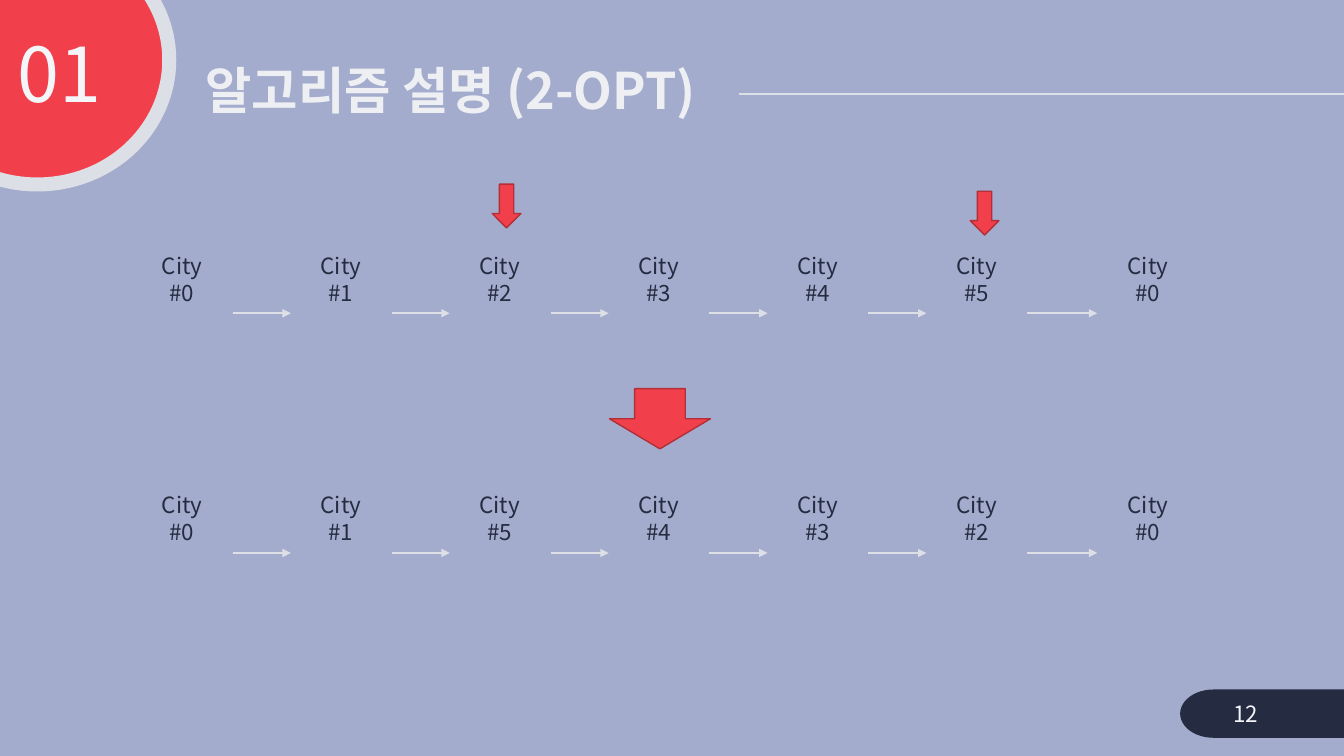
import pptx
import pptx.dml.color
import pptx.enum.shapes
import pptx.enum.text
import pptx.oxml
import pptx.oxml.ns
import pptx.util

Pt = pptx.util.Pt
RGBColor = pptx.dml.color.RGBColor
Shape = pptx.enum.shapes.MSO_SHAPE
Anchor = pptx.enum.text.MSO_ANCHOR
Align = pptx.enum.text.PP_ALIGN

BACKGROUND = RGBColor(0xA4, 0xAC, 0xCD)
RED = RGBColor(0xF1, 0x40, 0x4B)
DARK_RED = RGBColor(0xB2, 0x2F, 0x37)
GREY = RGBColor(0xDD, 0xDF, 0xE6)
NAVY = RGBColor(0x25, 0x2C, 0x41)
TITLE_WHITE = RGBColor(0xEE, 0xEF, 0xF3)
WHITE = RGBColor(0xF4, 0xF5, 0xF9)

CITY_LEFT, CITY_STEP, CITY_WIDTH = 103, 113.5, 54
LAST_CITY_LEFT = 793
TOURS = [
    (174.25, [0, 1, 2, 3, 4, 5, 0]),
    (345.5, [0, 1, 5, 4, 3, 2, 0]),
]


class SlideBuilder:
    font_name = "Noto Sans CJK KR"

    def __init__(self, slide):
        self.slide = slide
        slide.background.fill.solid()
        slide.background.fill.fore_color.rgb = BACKGROUND

    def shape(self, kind, left, top, width, height, fill, line=None, line_width=1):
        shape = self.slide.shapes.add_shape(
            kind, Pt(left), Pt(top), Pt(width), Pt(height))
        shape.shadow.inherit = False
        shape.fill.solid()
        shape.fill.fore_color.rgb = fill
        if line is None:
            shape.line.fill.background()
        else:
            shape.line.color.rgb = line
            shape.line.width = Pt(line_width)

    def text(self, text, left, top, width, height, size, color, bold=False,
             align=Align.LEFT, anchor=Anchor.TOP, spacing=None, inset_top=3.6):
        box = self.slide.shapes.add_textbox(Pt(left), Pt(top), Pt(width), Pt(height))
        frame = box.text_frame
        frame.word_wrap = True
        frame.vertical_anchor = anchor
        frame.margin_top = Pt(inset_top)
        paragraph = frame.paragraphs[0]
        paragraph.text = text
        paragraph.alignment = align
        if spacing is not None:
            paragraph.line_spacing = spacing
        paragraph.font.name = self.font_name
        paragraph.font.size = Pt(size)
        paragraph.font.bold = bold
        paragraph.font.color.rgb = color
        properties = paragraph.runs[0].font
        properties.name = self.font_name
        east_asian = pptx.oxml.parse_xml(
            f'<a:ea {pptx.oxml.ns.nsdecls("a")} typeface="{self.font_name}"/>')
        paragraph.runs[0]._r.get_or_add_rPr().append(east_asian)

    def horizontal_line(self, left, right, y, arrow=False):
        line = self.slide.shapes.add_connector(
            pptx.enum.shapes.MSO_CONNECTOR.STRAIGHT,
            Pt(left), Pt(y), Pt(right), Pt(y))
        line.line.color.rgb = GREY
        line.line.width = Pt(1.5)
        namespace = pptx.oxml.ns.nsdecls("a")
        if arrow:
            line.line._get_or_add_ln().append(
                pptx.oxml.parse_xml(f'<a:tailEnd {namespace} type="triangle"/>'))
        line._element.spPr.append(
            pptx.oxml.parse_xml(f"<a:effectLst {namespace}/>"))

    def down_arrow(self, left, top, width, height):
        self.shape(Shape.DOWN_ARROW, left, top, width, height, RED, DARK_RED)

    def tour(self, top, cities):
        """Draw one row of cities with an arrow from each to the next."""
        last = len(cities) - 1
        for index, city in enumerate(cities):
            left = LAST_CITY_LEFT if index == last else CITY_LEFT + index * CITY_STEP
            self.text(f"City #{city}", left, top, CITY_WIDTH, 26.5, 16, NAVY,
                      align=Align.CENTER, spacing=Pt(19.3), inset_top=5.5)
            if index < last:
                start = left + 63.25
                length = 50 if index == last - 1 else 41.5
                self.horizontal_line(start, start + length, top + 49.5, arrow=True)


def main():
    presentation = pptx.Presentation()
    presentation.slide_width = Pt(960)
    presentation.slide_height = Pt(540)
    builder = SlideBuilder(
        presentation.slides.add_slide(presentation.slide_layouts[6]))

    builder.horizontal_line(528, 960, 67)
    builder.shape(Shape.OVAL, -67.7, -46, 188.6, 177.8, RED, GREY, 10)
    builder.shape(Shape.FLOWCHART_TERMINATOR, 843, 492.5, 147.6, 34.5, NAVY)
    builder.text("알고리즘 설명 (2-OPT)", 139.7, 42.5, 388, 48.2, 36, TITLE_WHITE,
                 bold=True, anchor=Anchor.MIDDLE, spacing=0.9)
    builder.text("01", -8, 23, 87.8, 66.2, 54, WHITE,
                 align=Align.RIGHT, spacing=0.9)
    builder.text("12", 874, 495.4, 78.5, 28.8, 16, WHITE, anchor=Anchor.MIDDLE)

    for top, cities in TOURS:
        builder.tour(top, cities)
    builder.down_arrow(351.6, 131.5, 20.5, 31.3)
    builder.down_arrow(693, 136.6, 20.5, 31.3)
    builder.down_arrow(435.3, 277.6, 72.2, 43)

    presentation.save("out.pptx")


if __name__ == "__main__":
    main()
